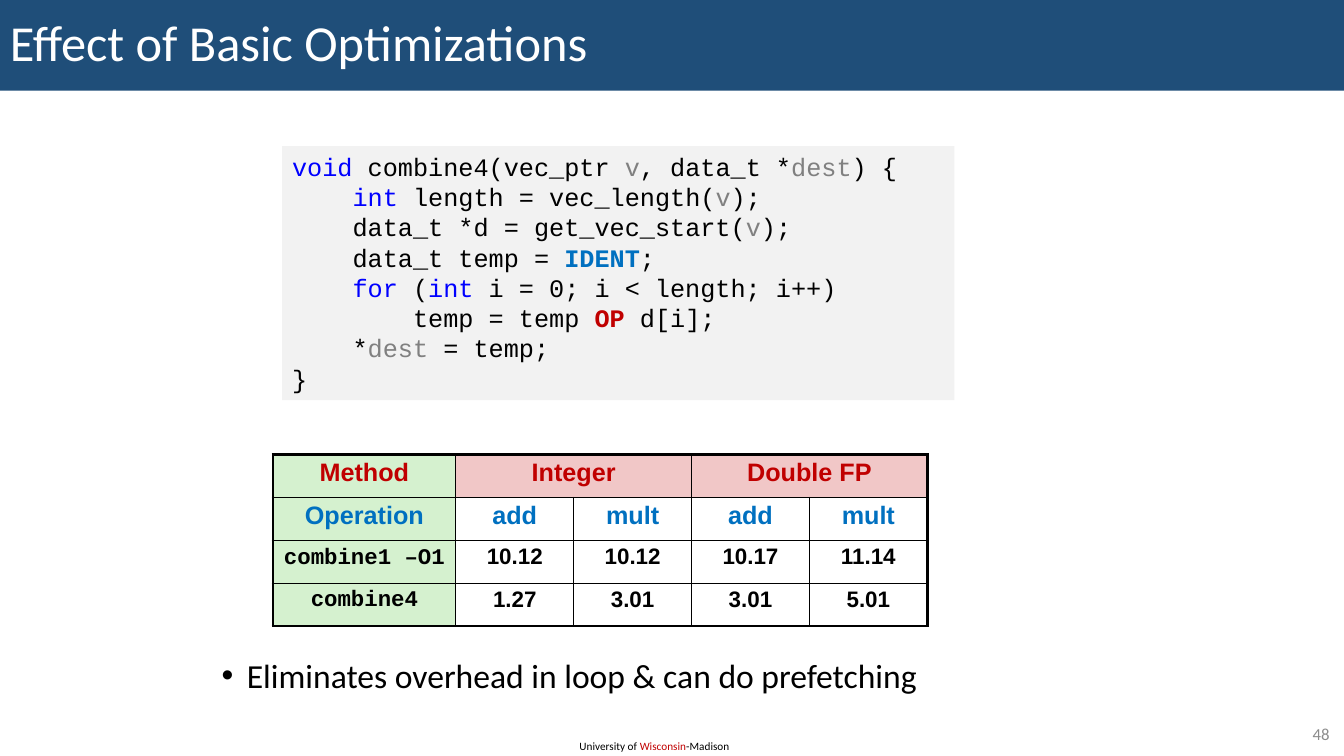
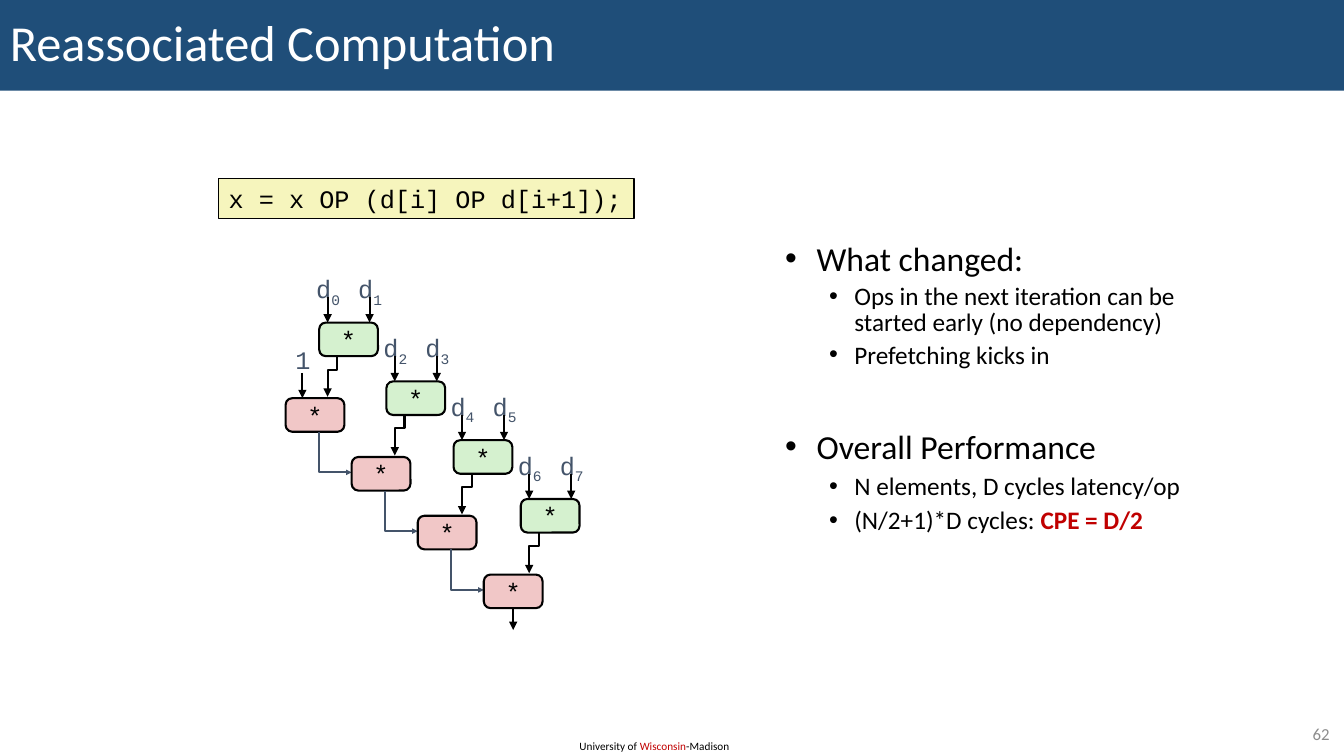
"""Builds two lecture slides on loop optimization."""
from dataclasses import dataclass

from lxml.etree import SubElement
from pptx import Presentation
from pptx.dml.color import RGBColor
from pptx.enum.shapes import MSO_CONNECTOR, MSO_SHAPE
from pptx.enum.text import MSO_ANCHOR, PP_ALIGN
from pptx.oxml.ns import qn
from pptx.util import Pt


@dataclass(frozen=True)
class Theme:
    band: str = "1F4E79"
    white: str = "FFFFFF"
    ink: str = "000000"
    red: str = "C00000"
    blue: str = "0070C0"
    keyword: str = "0000FF"
    parameter: str = "808080"
    slate: str = "44546A"
    number: str = "8C8C8C"
    panel: str = "F2F2F2"
    green_fill: str = "D5F1CF"
    red_fill: str = "F1C7C7"
    yellow_fill: str = "F6F5BD"
    body_font: str = "Calibri"
    table_font: str = "Arial"
    code_font: str = "Courier New"
    title_size: int = 36
    heading_size: int = 24
    text_size: int = 18
    value_size: int = 16
    number_size: int = 12
    footer_size: int = 8


THEME = Theme()
WIDTH, HEIGHT = 960, 540

FOOTER = [("University of ", THEME.ink), ("Wisconsin", THEME.red), ("-Madison", THEME.ink)]

BASICS_TITLE, BASICS_NUMBER = "Effect of Basic Optimizations", "48"
PLAIN, KEYWORD, PARAMETER = (THEME.ink,), (THEME.keyword,), (THEME.parameter,)
COMBINE4 = [
    [("void", *KEYWORD), (" combine4(vec_ptr ", *PLAIN), ("v", *PARAMETER),
     (", data_t *", *PLAIN), ("dest", *PARAMETER), (") {", *PLAIN)],
    [("    ", *PLAIN), ("int", *KEYWORD), (" length = vec_length(", *PLAIN),
     ("v", *PARAMETER), (");", *PLAIN)],
    [("    data_t *d = get_vec_start(", *PLAIN), ("v", *PARAMETER), (");", *PLAIN)],
    [("    data_t temp = ", *PLAIN), ("IDENT", THEME.blue, True), (";", *PLAIN)],
    [("    ", *PLAIN), ("for", *KEYWORD), (" (", *PLAIN), ("int", *KEYWORD),
     (" i = 0; i < length; i++)", *PLAIN)],
    [("        temp = temp ", *PLAIN), ("OP", THEME.red, True), (" d[i];", *PLAIN)],
    [("    *", *PLAIN), ("dest", *PARAMETER), (" = temp;", *PLAIN)],
    [("}", *PLAIN)],
]
CYCLES = [
    ("Method", "Integer", None, "Double FP", None),
    ("Operation", "add", "mult", "add", "mult"),
    ("combine1 –O1", "10.12", "10.12", "10.17", "11.14"),
    ("combine4", "1.27", "3.01", "3.01", "5.01"),
]
METHOD_WIDTH, VALUE_WIDTH, ROW_HEIGHT = 130.6, 84.2, 30.6
BASICS_POINT = "Eliminates overhead in loop & can do prefetching"

REASSOCIATED_TITLE, REASSOCIATED_NUMBER = "Reassociated Computation", "62"
STATEMENT = "x = x OP (d[i] OP d[i+1]);"
FINDINGS = [
    ("What changed:", 0.85, [
        [("Ops in the next iteration can be started early (no dependency)", THEME.ink)],
        [("Prefetching kicks in", THEME.ink)],
    ]),
    ("Overall Performance", 0.9, [
        [("N elements, D cycles latency/op", THEME.ink)],
        [("(N/2+1)*D cycles: ", THEME.ink), ("CPE = D/2", THEME.red, True)],
    ]),
]
PAIR_COUNT = 4
NODE_WIDTH, NODE_HEIGHT = 42, 24
PAIR_ORIGIN, PAIR_STEP = (228, 230.4), (48, 42)
CHAIN_ORIGIN, CHAIN_STEP = (204, 284.4), (47.2, 42)


def rgb(value):
    return RGBColor.from_string(value)


def style_font(font, face, size, color, bold=False):
    font.name, font.size, font.bold = face, Pt(size), bold
    font.color.rgb = rgb(color)


def write_runs(paragraph, runs, face, size):
    for text, color, *bold in runs:
        run = paragraph.add_run()
        run.text = text
        style_font(run.font, face, size, color, bool(bold))


def add_panel(slide, box, fill, kind=MSO_SHAPE.RECTANGLE, outline=None):
    panel = slide.shapes.add_shape(kind, *map(Pt, box))
    panel.shadow.inherit = False
    panel.fill.solid()
    panel.fill.fore_color.rgb = rgb(fill)
    if outline:
        panel.line.color.rgb = rgb(THEME.ink)
        panel.line.width = Pt(outline)
    else:
        panel.line.fill.background()
    return panel


def fill_frame(frame, lines, face, size, align=PP_ALIGN.LEFT,
               anchor=MSO_ANCHOR.TOP, wrap=True):
    frame.word_wrap, frame.vertical_anchor = wrap, anchor
    for index, runs in enumerate(lines):
        paragraph = frame.add_paragraph() if index else frame.paragraphs[0]
        paragraph.alignment = align
        write_runs(paragraph, runs, face, size)


def add_text(slide, box, lines, face, size, **options):
    frame = slide.shapes.add_textbox(*map(Pt, box)).text_frame
    fill_frame(frame, lines, face, size, **options)
    return frame


def set_bullet(paragraph, left, hanging, spacing, before):
    properties = paragraph._p.get_or_add_pPr()
    properties.set("marL", str(Pt(left)))
    properties.set("indent", str(-Pt(hanging)))
    SubElement(properties, qn("a:buFont")).set("typeface", THEME.table_font)
    SubElement(properties, qn("a:buChar")).set("char", "•")
    paragraph.line_spacing, paragraph.space_before = spacing, Pt(before)


def add_arrow(slide, points, color=THEME.ink, head="med"):
    points = [(Pt(x), Pt(y)) for x, y in points]
    if len(points) == 2:
        arrow = slide.shapes.add_connector(MSO_CONNECTOR.STRAIGHT, *points[0], *points[1])
    else:
        builder = slide.shapes.build_freeform(*points[0])
        builder.add_line_segments(points[1:], close=False)
        arrow = builder.convert_to_shape()
        arrow.fill.background()
    arrow.line.color.rgb = rgb(color)
    arrow.line.width = Pt(1.5)
    tail = SubElement(arrow.line._get_or_add_ln(), qn("a:tailEnd"))
    for key, value in (("type", "triangle"), ("w", head), ("len", head)):
        tail.set(key, value)
    SubElement(arrow._element.spPr, qn("a:effectLst"))


def add_node(slide, x, y, fill):
    node = add_panel(slide, (x, y, NODE_WIDTH, NODE_HEIGHT), fill,
                     MSO_SHAPE.ROUNDED_RECTANGLE, 1.5)
    node.adjustments[0] = 0.2
    fill_frame(node.text_frame, [[("*", THEME.ink)]], THEME.code_font, THEME.text_size,
               align=PP_ALIGN.CENTER, anchor=MSO_ANCHOR.MIDDLE, wrap=False)


def add_operand(slide, x, y, width, runs):
    frame = add_text(slide, (x, y, width, 29), [runs], THEME.code_font, THEME.text_size,
                     align=PP_ALIGN.CENTER, wrap=False)
    frame.margin_left = frame.margin_right = Pt(3.6)
    for subscript in frame.paragraphs[0].runs[1:]:
        subscript._r.get_or_add_rPr().set("baseline", "-25000")


def start_slide(deck, title, number):
    slide = deck.slides.add_slide(deck.slide_layouts[6])
    add_text(slide, (406.8, 524.2, 123.8, 17), [FOOTER], THEME.body_font, THEME.footer_size)
    band = add_panel(slide, (0, 0, WIDTH, 64.8), THEME.band)
    fill_frame(band.text_frame, [[(title, THEME.white)]], THEME.body_font,
               THEME.title_size, anchor=MSO_ANCHOR.MIDDLE)
    band.text_frame.paragraphs[0].line_spacing = 0.9
    add_text(slide, (902.2, 513.4, 54.7, 20.9), [[(number, THEME.number)]],
             THEME.body_font, THEME.number_size,
             align=PP_ALIGN.RIGHT, anchor=MSO_ANCHOR.MIDDLE)
    return slide


def set_borders(cell, widths):
    properties = cell._tc.get_or_add_tcPr()
    for side, width in widths.items():
        border = SubElement(properties, qn(f"a:ln{side}"))
        border.set("w", str(Pt(width)))
        SubElement(SubElement(border, qn("a:solidFill")), qn("a:srgbClr")).set("val", THEME.ink)


def add_cycles(slide):
    last_row, last_column = len(CYCLES) - 1, len(CYCLES[0]) - 1
    total = METHOD_WIDTH + VALUE_WIDTH * last_column
    table = slide.shapes.add_table(len(CYCLES), last_column + 1, Pt(195), Pt(324.8),
                                   Pt(total), Pt(ROW_HEIGHT * len(CYCLES))).table
    table.first_row = table.horz_banding = False
    for index, column in enumerate(table.columns):
        column.width = Pt(VALUE_WIDTH if index else METHOD_WIDTH)
    for first in (1, 3):
        table.cell(0, first).merge(table.cell(0, first + 1))
    for r, values in enumerate(CYCLES):
        table.rows[r].height = Pt(ROW_HEIGHT)
        for c, value in enumerate(values):
            cell = table.cell(r, c)
            at_right = c + cell.span_width - 1 >= last_column
            set_borders(cell, {"L": 1 if c else 2.25, "R": 2.25 if at_right else 1,
                               "T": 1 if r else 2.25, "B": 2.25 if r == last_row else 1})
            if c == 0 or r == 0:
                cell.fill.solid()
                cell.fill.fore_color.rgb = rgb(THEME.red_fill if c else THEME.green_fill)
            else:
                cell.fill.background()
            if value is None:
                continue
            cell.margin_left = cell.margin_right = Pt(3.6)
            cell.margin_top = cell.margin_bottom = Pt(3.6)
            color = (THEME.red, THEME.blue, THEME.ink, THEME.ink)[r]
            face = THEME.code_font if c == 0 and r > 1 else THEME.table_font
            paragraph = cell.text_frame.paragraphs[0]
            paragraph.alignment, paragraph.line_spacing = PP_ALIGN.CENTER, 0.95
            write_runs(paragraph, [(value, color, True)], face,
                       THEME.value_size if r > 1 else THEME.text_size)


def build_basics(deck):
    slide = start_slide(deck, BASICS_TITLE, BASICS_NUMBER)
    point = add_text(slide, (151.2, 467.3, 622, 42.5), [[(BASICS_POINT, THEME.ink)]],
                     THEME.body_font, THEME.heading_size)
    set_bullet(point.paragraphs[0], 18, 18, 0.9, 0)
    add_cycles(slide)
    listing = add_panel(slide, (201.6, 104.4, 480.2, 181.4), THEME.panel)
    fill_frame(listing.text_frame, COMBINE4, THEME.code_font, THEME.text_size)


def add_findings(slide):
    frame = slide.shapes.add_textbox(Pt(553.7), Pt(170.6), Pt(311), Pt(222.5)).text_frame
    frame.word_wrap = True
    for index, (heading, spacing, details) in enumerate(FINDINGS):
        paragraph = frame.add_paragraph() if index else frame.paragraphs[0]
        set_bullet(paragraph, 22.5, 22.5, 0.85, 45 if index else 0)
        write_runs(paragraph, [(heading, THEME.ink)], THEME.body_font, THEME.heading_size)
        for detail in details:
            paragraph = frame.add_paragraph()
            paragraph.level = 1
            set_bullet(paragraph, 49.5, 18, spacing, 5)
            write_runs(paragraph, detail, THEME.body_font, THEME.text_size)


def add_chain(slide):
    start_x, start_y = CHAIN_ORIGIN
    for index in range(PAIR_COUNT):
        x, y = (o + index * s for o, s in zip(CHAIN_ORIGIN, CHAIN_STEP))
        bottom, center = y + NODE_HEIGHT, x + NODE_WIDTH / 2
        add_node(slide, x, y, THEME.red_fill)
        if index < PAIR_COUNT - 1:
            turn = y + CHAIN_STEP[1] + 11
            add_arrow(slide, [(x + 24, bottom), (x + 24, turn), (x + CHAIN_STEP[0], turn)],
                      THEME.slate, "sm")
        else:
            add_arrow(slide, [(center, bottom), (center, bottom + 15.6)])
    add_operand(slide, start_x + 3.4, start_y - 41.8, 18, [("1", THEME.slate)])
    add_arrow(slide, [(start_x + 12, start_y - 18), (start_x + 12, start_y)])


def add_pairs(slide):
    for index in range(PAIR_COUNT):
        x, y = (o + index * s for o, s in zip(PAIR_ORIGIN, PAIR_STEP))
        bottom = y + NODE_HEIGHT
        add_node(slide, x, y, THEME.green_fill)
        for side in range(2):
            left = x + 30 * side
            add_operand(slide, left - 6.2, y - 38.4, 25.2,
                        [("d", THEME.slate), (str(2 * index + side), THEME.slate)])
            add_arrow(slide, [(left + 6, y - 18), (left + 6, y)])
        add_arrow(slide, [(x + 13, bottom), (x + 13, bottom + 9.6),
                          (x + 6, bottom + 9.6), (x + 6, bottom + 29)])


def build_reassociated(deck):
    slide = start_slide(deck, REASSOCIATED_TITLE, REASSOCIATED_NUMBER)
    add_findings(slide)
    add_chain(slide)
    add_pairs(slide)
    statement = add_panel(slide, (156.2, 127.4, 296.6, 28.8), THEME.yellow_fill, outline=1)
    fill_frame(statement.text_frame, [[(STATEMENT, THEME.ink)]], THEME.code_font,
               THEME.text_size, wrap=False)


def main():
    deck = Presentation()
    deck.slide_width, deck.slide_height = Pt(WIDTH), Pt(HEIGHT)
    build_basics(deck)
    build_reassociated(deck)
    deck.save("out.pptx")


if __name__ == "__main__":
    main()
